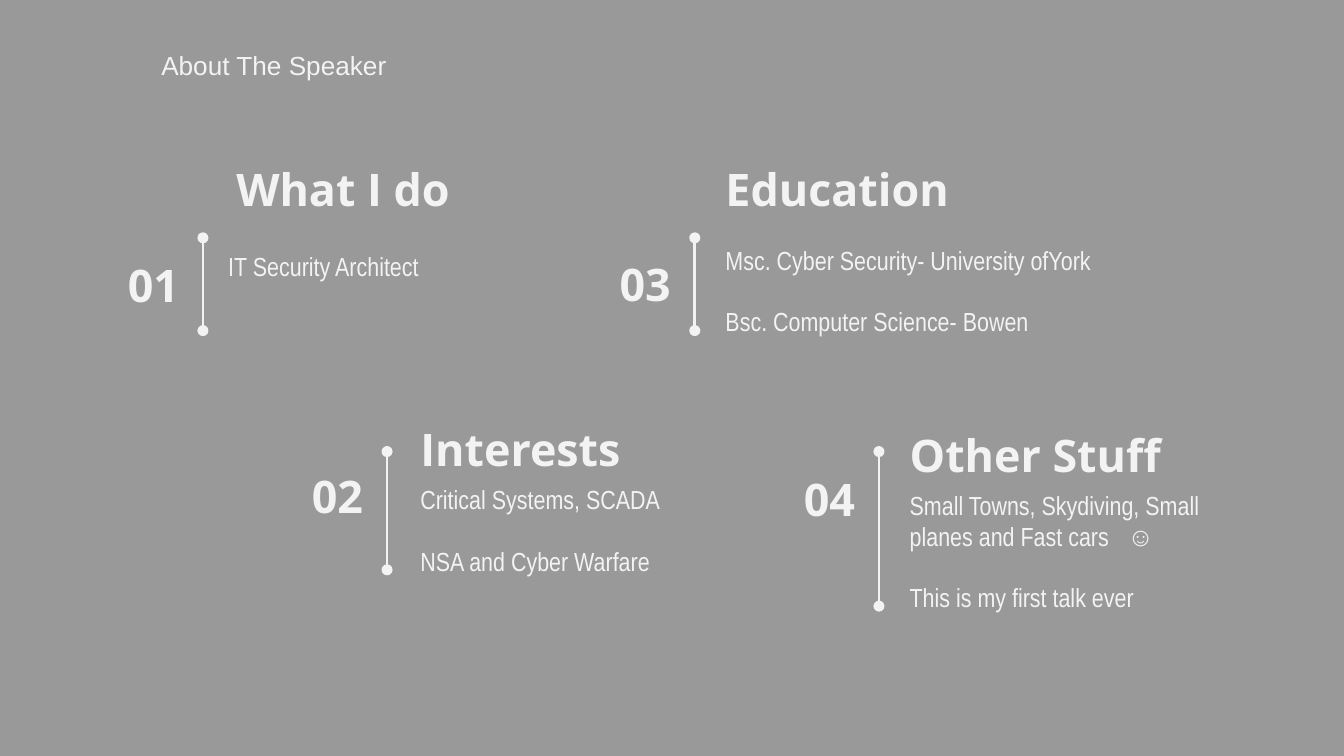
from pptx import Presentation
from pptx.dml.color import RGBColor
from pptx.enum.shapes import MSO_CONNECTOR as CONNECTOR
from pptx.enum.text import MSO_ANCHOR as ANCHOR, MSO_AUTO_SIZE as AUTO_SIZE, PP_ALIGN as ALIGN
from pptx.oxml.ns import qn
from pptx.util import Inches, Pt
from lxml.etree import SubElement

COLORS = {"background": "999999", "light": "F3F3F3"}

HEADING = {"name": "Open Sans", "size": Pt(24), "bold": True}
BODY = {"name": "Arial Narrow", "size": Pt(14), "bold": False}
TITLE = {"name": "Arial", "size": Pt(14), "bold": False}

INSET = 0.1
HEADING_SIZE = (2.56, 0.46)
NUMBER_SIZE = (0.66, 0.46)
SMILEY_TAB = 1.62

# Places are (left, top); a body adds its size, a rule is (x, top, bottom)
SECTIONS = [
    {"number": "01", "number_at": (0.77, 1.89), "rule": (1.51, 1.77, 2.46),
     "heading": "What I do", "heading_at": (1.66, 1.17),
     "body_at": (1.6, 1.76, 2.56, 0.71),
     "lines": ["IT Security Architect"]},
    {"number": "02", "number_at": (2.14, 3.46), "rule": (2.88, 3.36, 4.24),
     "heading": "Interests", "heading_at": (3.03, 3.11),
     "body_at": (3.03, 3.5, 2.56, 1.48),
     "lines": ["Critical Systems, SCADA", "NSA and Cyber Warfare"]},
    {"number": "03", "number_at": (4.43, 1.88), "rule": (5.17, 1.77, 2.46),
     "heading": "Education", "heading_at": (5.3, 1.17),
     "body_at": (5.3, 1.72, 4.43, 0.71),
     "lines": ["Msc. Cyber Security- University ofYork",
               "Bsc. Computer Science- Bowen"]},
    {"number": "04", "number_at": (5.8, 3.48), "rule": (6.54, 3.36, 4.51),
     "heading": "Other Stuff", "heading_at": (6.67, 3.15),
     "body_at": (6.67, 3.54, 2.56, 0.71),
     "lines": ["Small Towns, Skydiving, Small planes and Fast cars\t☺",
               "This is my first talk ever"]},
]


def color(name):
    return RGBColor.from_string(COLORS[name])


def style_font(para, style):
    for name, value in style.items():
        setattr(para.font, name, value)
    para.font.color.rgb = color("light")


def add_tab_stop(para, position):
    tabs = SubElement(para._p.get_or_add_pPr(), qn("a:tabLst"))
    SubElement(tabs, qn("a:tab"), pos=str(Inches(position)), algn="l")


def add_text(page, place, lines, style, anchor=ANCHOR.TOP, align=ALIGN.LEFT, after=0):
    box = page.shapes.add_textbox(*map(Inches, place))
    frame = box.text_frame
    frame.word_wrap = True
    frame.vertical_anchor = anchor
    for side in ("left", "right", "top", "bottom"):
        setattr(frame, f"margin_{side}", Inches(INSET))
    for index, line in enumerate(lines):
        para = frame.add_paragraph() if index else frame.paragraphs[0]
        para.text = line
        para.alignment = align
        para.space_after = Pt(after)
        if "\t" in line:
            add_tab_stop(para, SMILEY_TAB)
        style_font(para, style)


def add_rule(page, x, top, bottom):
    """Vertical line with a dot at each end."""
    rule = page.shapes.add_connector(
        CONNECTOR.STRAIGHT, Inches(x), Inches(top), Inches(x), Inches(bottom))
    rule.line.color.rgb = color("light")
    rule.line.width = Pt(1.5)
    line = rule.line._get_or_add_ln()
    for end in ("a:headEnd", "a:tailEnd"):
        SubElement(line, qn(end), type="oval")
    SubElement(rule._element.spPr, qn("a:effectLst"))


def set_title(page, text):
    title = page.shapes.title
    title.left, title.top = Inches(1.1), Inches(0.32)
    title.width, title.height = Inches(1.89), Inches(0.34)
    frame = title.text_frame
    frame.text = text
    frame.word_wrap = False
    frame.auto_size = AUTO_SIZE.NONE
    frame.vertical_anchor = ANCHOR.TOP
    para = frame.paragraphs[0]
    para.alignment = ALIGN.LEFT
    style_font(para, TITLE)


def add_section(page, section):
    add_text(page, section["heading_at"] + HEADING_SIZE, [section["heading"]],
             HEADING, ANCHOR.MIDDLE)
    add_text(page, section["body_at"], section["lines"], BODY, after=16)
    add_text(page, section["number_at"] + NUMBER_SIZE, [section["number"]],
             HEADING, ANCHOR.MIDDLE, ALIGN.RIGHT)
    add_rule(page, *section["rule"])


def main():
    # Widescreen page, 16:9
    deck = Presentation()
    deck.slide_width = Inches(10)
    deck.slide_height = Inches(10 * 9 / 16)
    page = deck.slides.add_slide(deck.slide_layouts[5])

    # Background and title
    fill = page.background.fill
    fill.solid()
    fill.fore_color.rgb = color("background")
    set_title(page, "About The Speaker")

    # Numbered sections
    for section in SECTIONS:
        add_section(page, section)

    deck.save("out.pptx")


if __name__ == "__main__":
    main()
